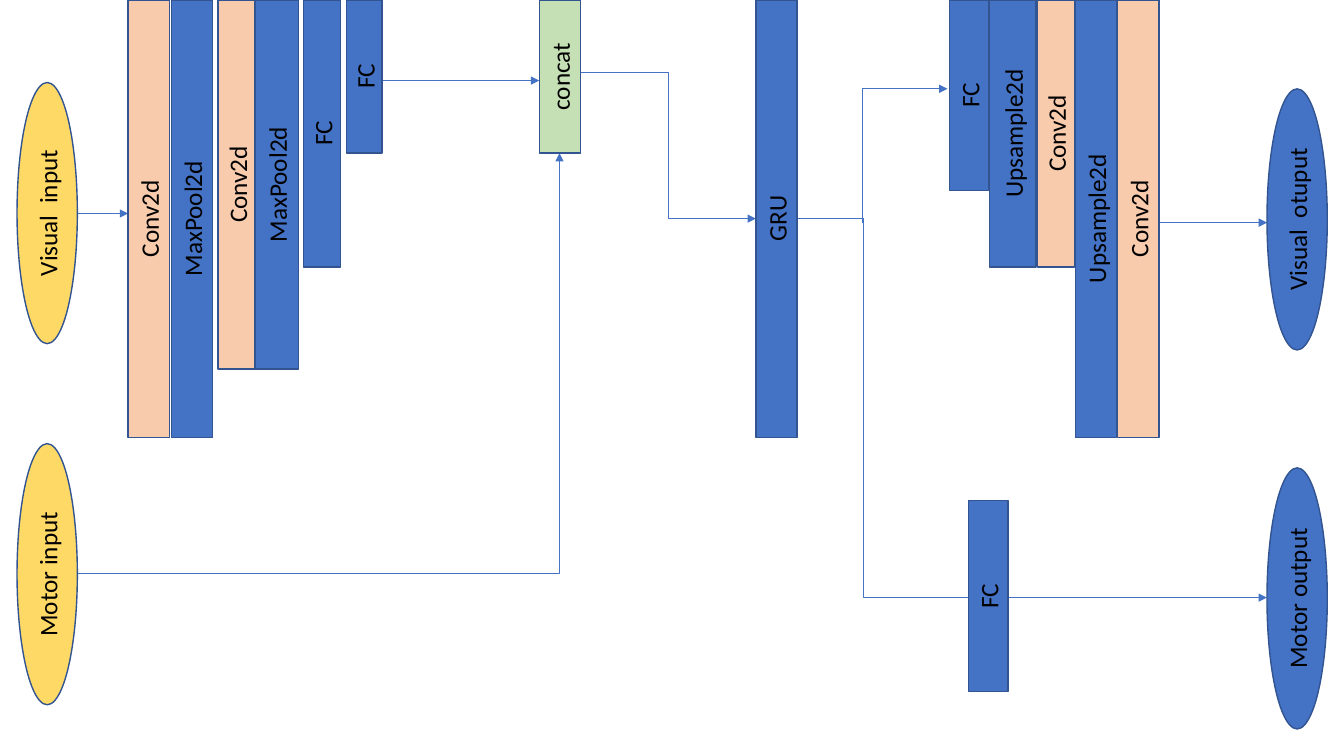
"""Draw the layers of a visual and motor prediction network."""
from pptx import Presentation
from pptx.dml.color import RGBColor
from pptx.enum.shapes import MSO_CONNECTOR as LINK, MSO_SHAPE as SHAPE
from pptx.enum.text import MSO_ANCHOR, PP_ALIGN
from pptx.oxml.ns import qn
from pptx.util import Cm, Pt
from lxml.etree import SubElement

BLUE, PEACH, GREEN, YELLOW = "4472C4", "F8CBAD", "C5E0B4", "FFD966"
OUTLINE, BLACK = "325491", "000000"
FULL, POOLED, HALF, CODE, SHORT = 11.02, 9.3, 6.73, 4.8, 3.86
LAYER = 1.04
OVAL_WIDTH, OVAL_HEIGHT = 1.52, 6.58
INPUT_LEFT, OUTPUT_LEFT = 0.43, 31.93

ENCODER = [
    ("Conv2d", 3.23, LAYER, FULL, PEACH),
    ("MaxPool2d", 4.32, LAYER, FULL, BLUE),
    ("Conv2d", 5.49, 0.97, POOLED, PEACH),
    ("MaxPool2d", 6.43, 1.09, POOLED, BLUE),
    ("FC", 7.65, 0.94, HALF, BLUE),
    ("FC", 8.74, 0.89, SHORT, BLUE),
]
CORE = [
    ("concat", 13.59, LAYER, SHORT, GREEN),
    ("GRU", 19.05, LAYER, FULL, BLUE),
]
DECODER = [
    ("FC", 23.93, 0.99, CODE, BLUE),
    ("Upsample2d", 24.94, 1.17, HALF, BLUE),
    ("Conv2d", 26.14, 0.94, HALF, PEACH),
    ("Upsample2d", 27.1, LAYER, FULL, BLUE),
    ("Conv2d", 28.17, LAYER, FULL, PEACH),
]
SIGNALS = [
    ("Visual  input", INPUT_LEFT, 2.08, YELLOW),
    ("Motor input", INPUT_LEFT, 11.18, YELLOW),
    ("Visual  otuput", OUTPUT_LEFT, 2.24, BLUE),
    ("Motor output", OUTPUT_LEFT, 11.79, BLUE),
]
STRAIGHT_FLOWS = [
    ((1.96, 5.38), (3.23, 5.38)),
    ((9.63, 2.03), (13.59, 2.03)),
    ((29.21, 5.61), (31.93, 5.61)),
]
STEPPED_FLOWS = [
    ((14.63, 1.83), (19.05, 5.51), 0.5),
    ((20.12, 5.51), (31.93, 15.06), 0.139),
    ((21.74, 5.61), (23.88, 2.24), 0),
]


def color(hex_code):
    """Turn a hex string into a colour."""
    return RGBColor.from_string(hex_code)


def add_node(slide, kind, label, left, top, width, height, fill):
    """Add a filled shape whose label reads upwards."""
    node = slide.shapes.add_shape(kind, Cm(left), Cm(top), Cm(width), Cm(height))
    node.shadow.inherit = False
    node.fill.solid()
    node.fill.fore_color.rgb = color(fill)
    node.line.color.rgb = color(OUTLINE)
    node.line.width = Pt(1)
    frame = node.text_frame
    frame.text = label
    frame.vertical_anchor = MSO_ANCHOR.MIDDLE
    node._element.txBody.find(qn("a:bodyPr")).set("vert", "vert270")
    caption = frame.paragraphs[0]
    caption.alignment = PP_ALIGN.CENTER
    caption.font.name = "Calibri"
    caption.font.size = Pt(18)
    caption.font.color.rgb = color(BLACK)


def add_layers(slide, layers, top=0):
    """Add a row of network layers aligned at the top."""
    for label, left, width, height, fill in layers:
        add_node(slide, SHAPE.RECTANGLE, label, left, top, width, height, fill)


def add_arrow(slide, start, end, kind=LINK.STRAIGHT):
    """Add a thin arrow and return it."""
    arrow = slide.shapes.add_connector(kind, *map(Cm, start + end))
    arrow.line.color.rgb = color(BLUE)
    arrow.line.width = Pt(0.5)
    properties = arrow._element.spPr
    SubElement(properties.find(qn("a:ln")), qn("a:tailEnd"), type="triangle")
    SubElement(properties, qn("a:effectLst"))
    return arrow


def add_step(slide, start, end, bend):
    """Add an arrow with a vertical leg at a share of its width."""
    arrow = add_arrow(slide, start, end, LINK.ELBOW)
    guides = arrow._element.spPr.prstGeom.get_or_add_avLst()
    SubElement(guides, qn("a:gd"), name="adj1", fmla=f"val {round(bend * 100000)}")


def add_corner(slide, start, end):
    """Add an arrow that runs sideways and turns once."""
    arrow = add_arrow(slide, start, end, LINK.ELBOW)
    arrow._element.spPr.prstGeom.set("prst", "bentConnector2")


def main():
    """Build and save the slide."""
    deck = Presentation()
    deck.slide_width, deck.slide_height = Cm(33.87), Cm(19.05)
    slide = deck.slides.add_slide(deck.slide_layouts[6])
    for start, end in STRAIGHT_FLOWS:
        add_arrow(slide, start, end)
    for start, end, bend in STEPPED_FLOWS:
        add_step(slide, start, end, bend)
    add_corner(slide, (1.96, 14.45), (14.1, 3.86))
    add_layers(slide, ENCODER + CORE + DECODER)
    add_layers(slide, [("FC", 24.41, 0.99, CODE, BLUE)], top=12.62)
    for label, left, top, fill in SIGNALS:
        add_node(slide, SHAPE.OVAL, label, left, top, OVAL_WIDTH, OVAL_HEIGHT, fill)
    deck.save("out.pptx")


main()
